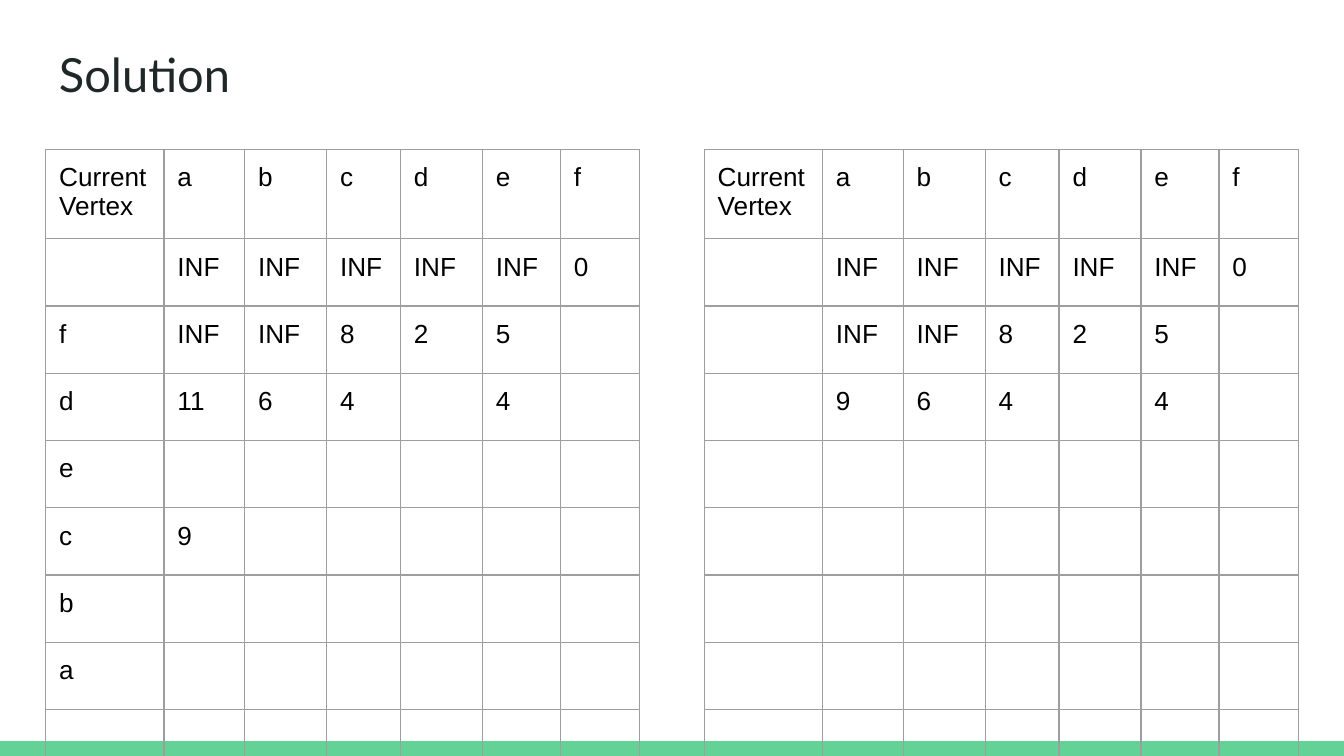
import pptx
import pptx.util
import pptx.dml.color
import pptx.enum.shapes
import pptx.enum.text
import pptx.oxml.ns
from lxml import etree

Inches, Pt = pptx.util.Inches, pptx.util.Pt
RGBColor = pptx.dml.color.RGBColor
qn = pptx.oxml.ns.qn

# Content
TITLE = "Solution"
HEADER = ["Current Vertex", "a", "b", "c", "d", "e", "f"]
START = ["", "INF", "INF", "INF", "INF", "INF", "0"]
PRACTICE = [
    HEADER,
    START,
    ["", "INF", "INF", "8", "2", "5"],
    ["", "9", "6", "4", "", "4"],
]
SOLVED = [
    HEADER,
    START,
    ["f", "INF", "INF", "8", "2", "5"],
    ["d", "11", "6", "4", "", "4"],
    ["e"],
    ["c", "9"],
    ["b"],
    ["a"],
]

# Look and grid, in inches
WHITE = RGBColor(0xFF, 0xFF, 0xFF)
GREEN = RGBColor(0x63, 0xD2, 0x97)
INK = RGBColor(0x20, 0x27, 0x29)
BLACK = RGBColor(0x00, 0x00, 0x00)
GRID_GRAY = RGBColor(0x9E, 0x9E, 0x9E)
WIDTH = 10
HEIGHT = WIDTH * 9 / 16
MARGIN, BAR_HEIGHT, INSET = 0.34, 0.11, 0.1
TABLE_TOP, RIGHT_TABLE = 1.11, 5.24
COLUMNS = [0.88, 0.6, 0.61, 0.55, 0.61, 0.58, 0.59]
ROWS = [0.61] + [0.4] * 8
CELL_SIZE, EMPTY_SIZE = 14, 18
CELL_FACE = "Arial"


def add_text(para, text, size, face, color):
    span = para.add_run()
    span.text = text
    span.font.size = Pt(size)
    span.font.name = face
    span.font.color.rgb = color


def set_insets(holder):
    holder.margin_left = holder.margin_right = Inches(INSET)
    holder.margin_top = holder.margin_bottom = Inches(INSET)


def add_borders(cell):
    properties = cell._tc.get_or_add_tcPr()
    for position, side in enumerate(("a:lnL", "a:lnR", "a:lnT", "a:lnB")):
        line = etree.Element(qn(side), w=str(Pt(0.75)))
        fill = etree.SubElement(line, qn("a:solidFill"))
        etree.SubElement(fill, qn("a:srgbClr"), val=str(GRID_GRAY))
        properties.insert(position, line)


def size_empty_cell(para):
    """The empty cells' text size sets the drawn height of their rows."""
    mark = etree.SubElement(para._p, qn("a:endParaRPr"), sz=str(EMPTY_SIZE * 100))
    etree.SubElement(mark, qn("a:latin"), typeface=CELL_FACE)


def add_distance_table(page, left, content):
    frame = page.shapes.add_table(
        len(ROWS), len(COLUMNS), Inches(left), Inches(TABLE_TOP),
        Inches(sum(COLUMNS)), Inches(sum(ROWS)))
    table = frame.table
    table.first_row = table.horz_banding = False
    for column, width in zip(table.columns, COLUMNS):
        column.width = Inches(width)
    for row, height in zip(table.rows, ROWS):
        row.height = Inches(height)
    for r in range(len(ROWS)):
        values = content[r] if r < len(content) else []
        for c in range(len(COLUMNS)):
            cell = table.cell(r, c)
            cell.fill.background()
            set_insets(cell)
            add_borders(cell)
            para = cell.text_frame.paragraphs[0]
            para.line_spacing = 1.0
            if c < len(values) and values[c]:
                add_text(para, values[c], CELL_SIZE, CELL_FACE, BLACK)
            else:
                size_empty_cell(para)


deck = pptx.Presentation()
deck.slide_width, deck.slide_height = Inches(WIDTH), Inches(HEIGHT)
page = deck.slides.add_slide(deck.slide_layouts[6])
page.background.fill.solid()
page.background.fill.fore_color.rgb = WHITE

# Bottom bar
bar = page.shapes.add_shape(
    pptx.enum.shapes.MSO_SHAPE.RECTANGLE, 0, Inches(HEIGHT - BAR_HEIGHT),
    Inches(WIDTH), Inches(BAR_HEIGHT))
bar.shadow.inherit = False
bar.fill.solid()
bar.fill.fore_color.rgb = GREEN
bar.line.fill.background()

# Title
box = page.shapes.add_textbox(
    Inches(MARGIN), Inches(0.24), Inches(WIDTH - 2 * MARGIN), Inches(0.63))
box.text_frame.word_wrap = True
box.text_frame.vertical_anchor = pptx.enum.text.MSO_ANCHOR.TOP
set_insets(box.text_frame)
add_text(box.text_frame.paragraphs[0], TITLE, 25.2, "Lato", INK)

# Distance tables
add_distance_table(page, RIGHT_TABLE, PRACTICE)
add_distance_table(page, MARGIN, SOLVED)

deck.save("out.pptx")
